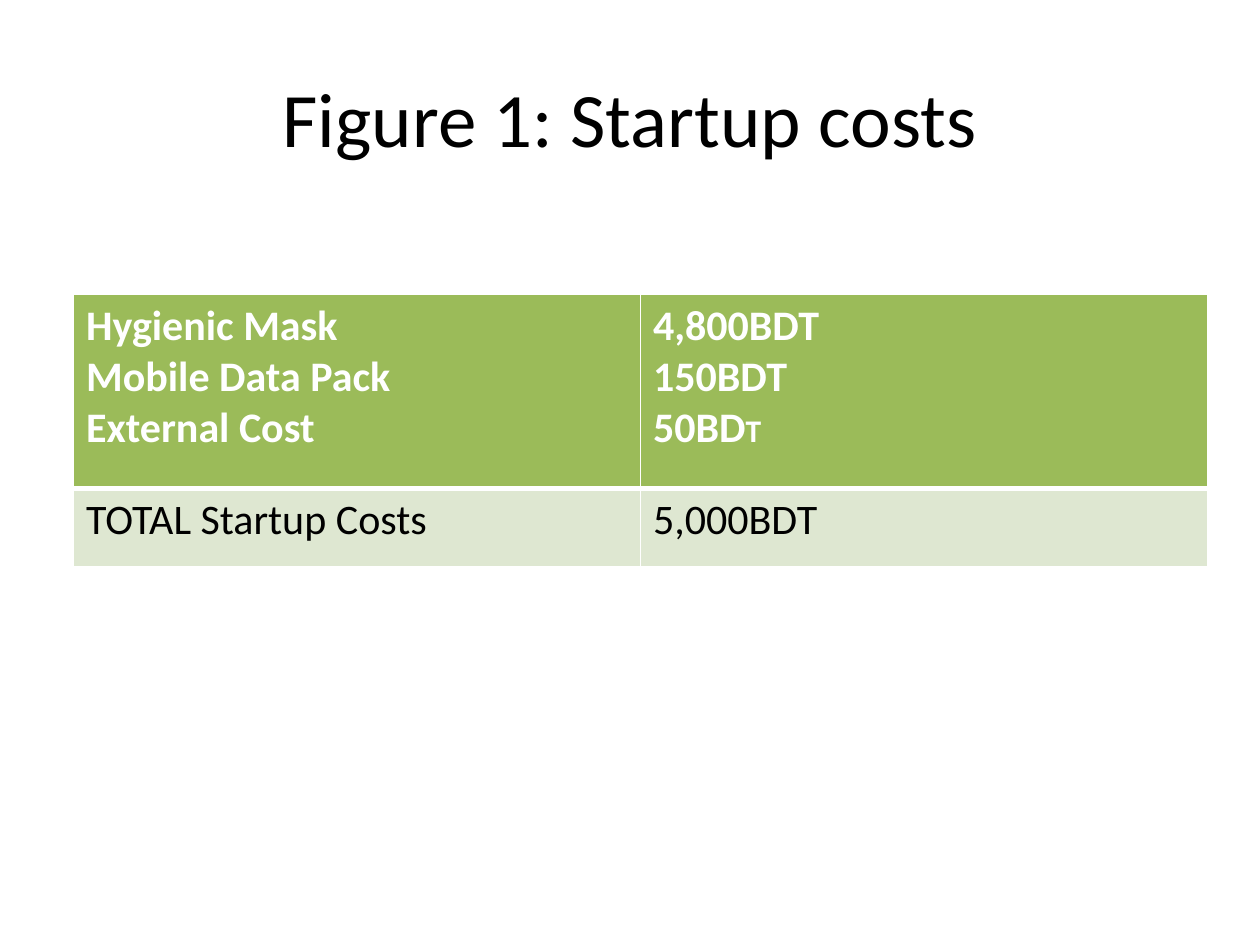
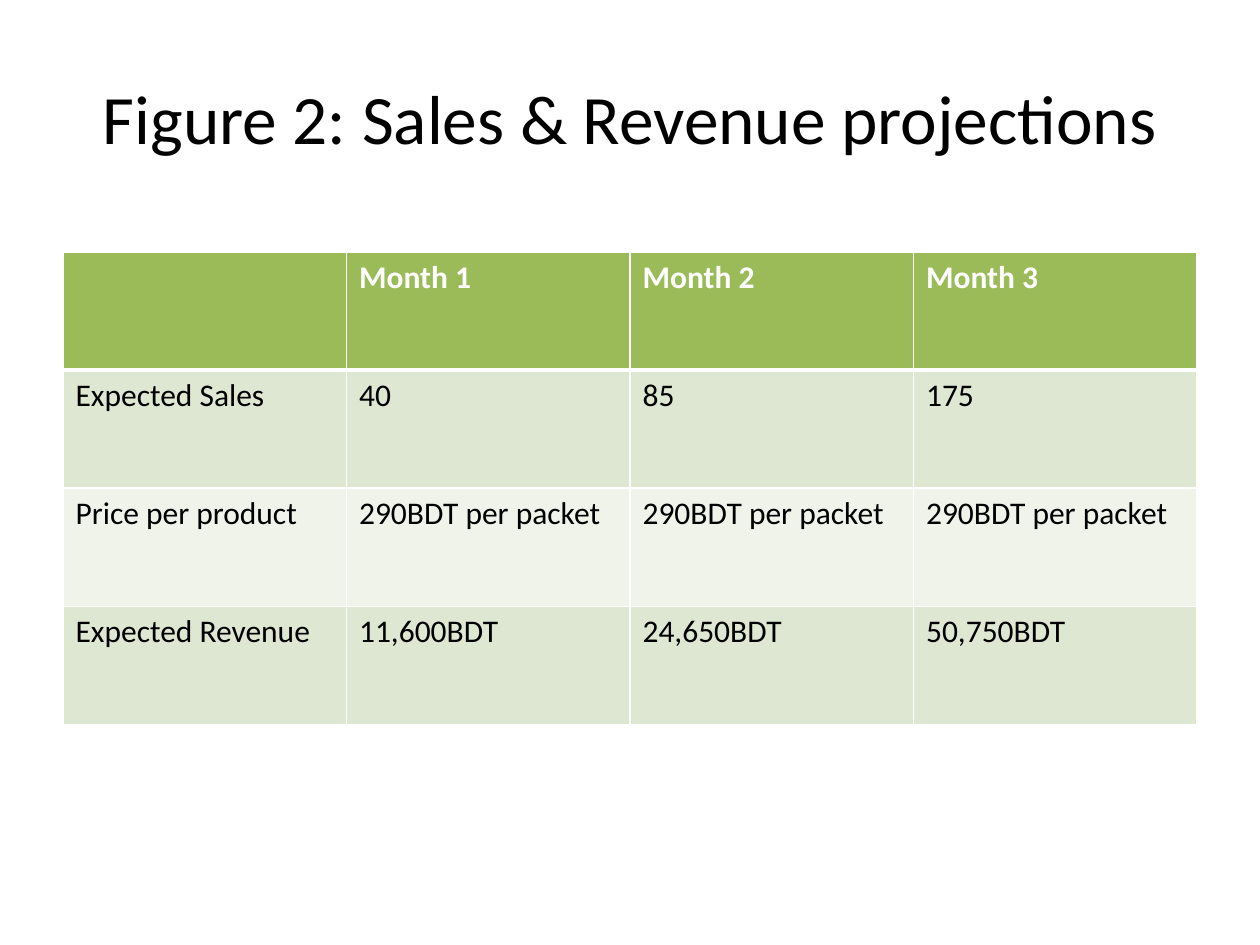
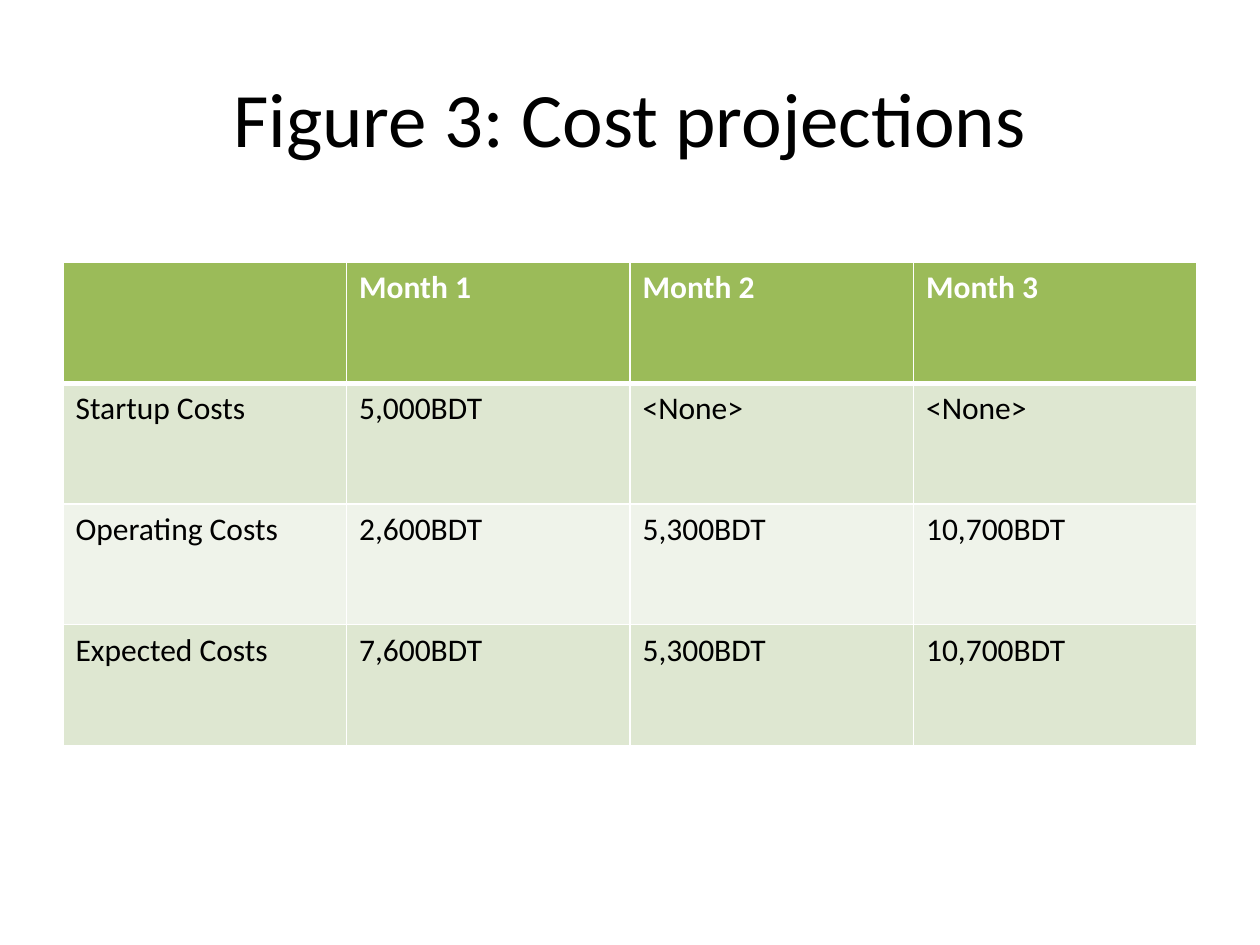
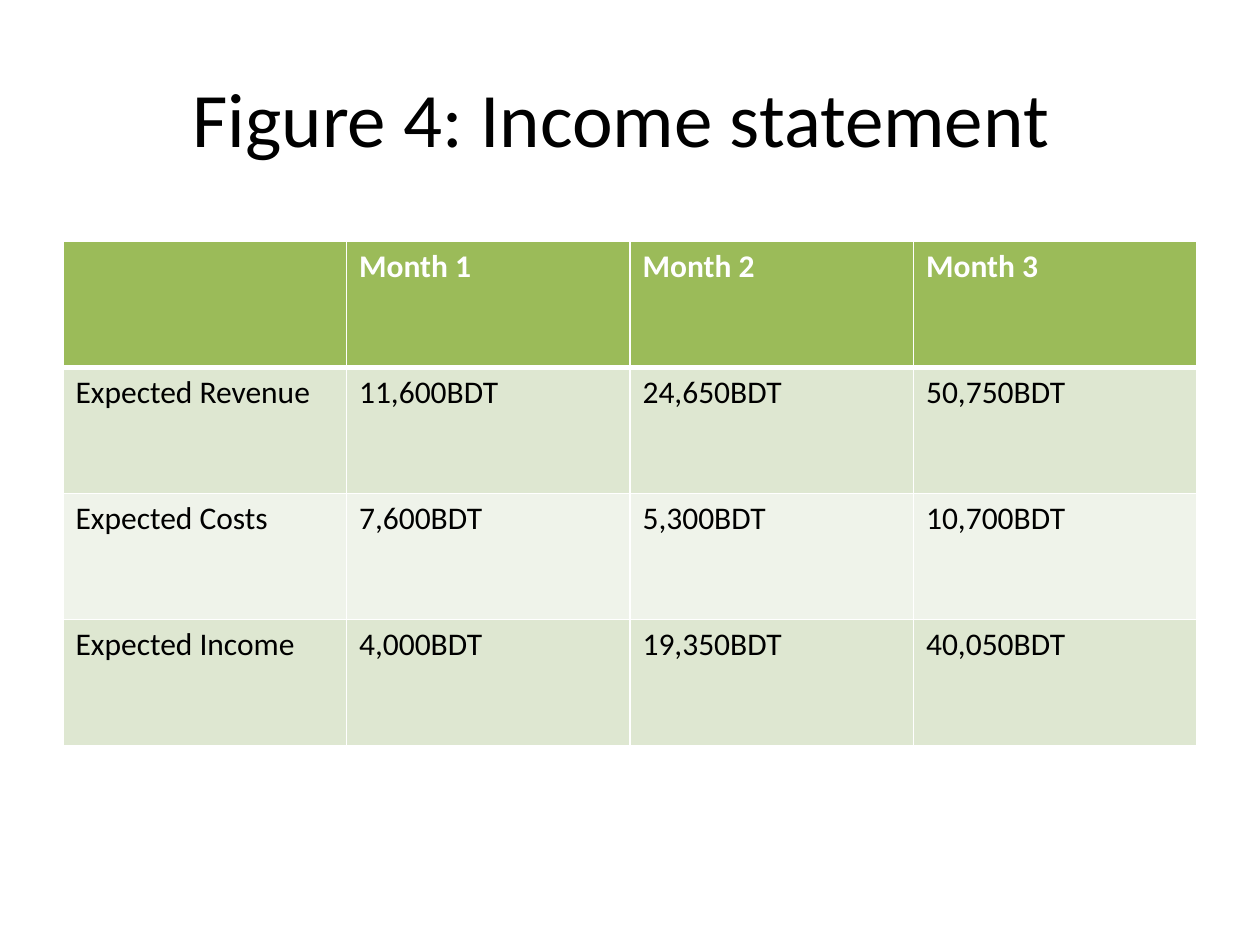
import pptx
import pptx.util
import pptx.dml.color
import pptx.enum.text
import pptx.oxml.ns
import lxml.etree

Pt = pptx.util.Pt
RGBColor = pptx.dml.color.RGBColor

# Shared style
FONT = "Calibri"
WHITE = RGBColor(0xFF, 0xFF, 0xFF)
BLACK = RGBColor(0x00, 0x00, 0x00)
GREEN = RGBColor(0x9B, 0xBB, 0x59)
BANDS = [RGBColor(0xDE, 0xE7, 0xD1), RGBColor(0xEF, 0xF3, 0xEA)]
THIN, THICK = 1, 3
TITLE_BOX = (36, 21.6, 648, 90)
MONTHS = ["", "Month 1", "Month 2", "Month 3"]


def add_run(p, text, size, color, bold=False):
    r = p.add_run()
    r.text = text
    r.font.name = FONT
    r.font.size = Pt(size)
    r.font.bold = bold
    r.font.color.rgb = color


def set_borders(cell, **widths):
    """Draw white cell borders; widths are in points, by side."""
    qn = pptx.oxml.ns.qn
    tcPr = cell._tc.get_or_add_tcPr()
    for side in "LRTB":
        ln = lxml.etree.SubElement(tcPr, qn("a:ln" + side),
                                   w=str(Pt(widths.get(side, THIN))))
        fill = lxml.etree.SubElement(ln, qn("a:solidFill"))
        lxml.etree.SubElement(fill, qn("a:srgbClr"), val=str(WHITE))


def add_title(s, box, text, size):
    title = s.shapes.title
    title.left, title.top, title.width, title.height = map(Pt, box)
    tf = title.text_frame
    tf.word_wrap = True
    tf.vertical_anchor = pptx.enum.text.MSO_ANCHOR.MIDDLE
    p = tf.paragraphs[0]
    p.alignment = pptx.enum.text.PP_ALIGN.CENTER
    add_run(p, text, size, BLACK)


def fill_cell(cell, lines, row, size):
    """Lines is one text, or a list of paragraphs, each a list of (text, size)."""
    header = row == 0
    set_borders(cell, T=THICK if row == 1 else THIN, B=THICK if header else THIN)
    cell.fill.solid()
    cell.fill.fore_color.rgb = GREEN if header else BANDS[(row - 1) % 2]
    if isinstance(lines, str):
        lines = [[(lines, size)]] if lines else []
    tf = cell.text_frame
    for i, runs in enumerate(lines):
        p = tf.add_paragraph() if i else tf.paragraphs[0]
        for text, run_size in runs:
            add_run(p, text, run_size, WHITE if header else BLACK, header)


def add_banded_table(s, box, rows, size, heights=None):
    """Equal columns fill the box; so do the rows unless heights are given."""
    left, top, width, height = box
    n_cols = len(rows[0])
    heights = heights or [height / len(rows)] * len(rows)
    table = s.shapes.add_table(len(rows), n_cols, *map(Pt, box)).table
    for col in table.columns:
        col.width = Pt(width / n_cols)
    for i, row in enumerate(rows):
        table.rows[i].height = Pt(heights[i])
        for j, content in enumerate(row):
            fill_cell(table.cell(i, j), content, i, size)


prs = pptx.Presentation()
prs.slide_width, prs.slide_height = Pt(720), Pt(540)


def add_figure(title, box, rows, title_size=44, size=18, heights=None):
    s = prs.slides.add_slide(prs.slide_layouts[5])
    add_title(s, TITLE_BOX, title, title_size)
    add_banded_table(s, box, rows, size, heights)


# Rows that appear in more than one figure
revenue = ["Expected Revenue", "11,600BDT", "24,650BDT", "50,750BDT"]
costs = ["Expected Costs", "7,600BDT", "5,300BDT", "10,700BDT"]

# Startup costs
items = [[(text, 24)] for text in ("Hygienic Mask", "Mobile Data Pack", "External Cost")]
prices = [[("4,800BDT", 24)], [("150BDT", 24)], [("50BD", 24), ("T", 18)]]
add_figure("Figure 1: Startup costs", (42, 168, 648, 156),
           [[items, prices], ["TOTAL Startup Costs", "5,000BDT"]],
           size=24, heights=[111, 45])

# Sales and revenue
add_figure("Figure 2: Sales & Revenue projections", (36, 144, 648, 270),
           [MONTHS,
            ["Expected Sales", "40", "85", "175"],
            ["Price per product"] + ["290BDT per packet"] * 3,
            revenue],
           title_size=39.6)

# Costs
add_figure("Figure 3: Cost projections", (36, 150, 648, 276),
           [MONTHS,
            ["Startup Costs", "5,000BDT", "<None>", "<None>"],
            ["Operating Costs", "2,600BDT", "5,300BDT", "10,700BDT"],
            costs])

# Income
add_figure("Figure 4: Income statement ", (36, 138, 648, 288),
           [MONTHS, revenue, costs,
            ["Expected Income", "4,000BDT", "19,350BDT", "40,050BDT"]])

prs.save("out.pptx")
